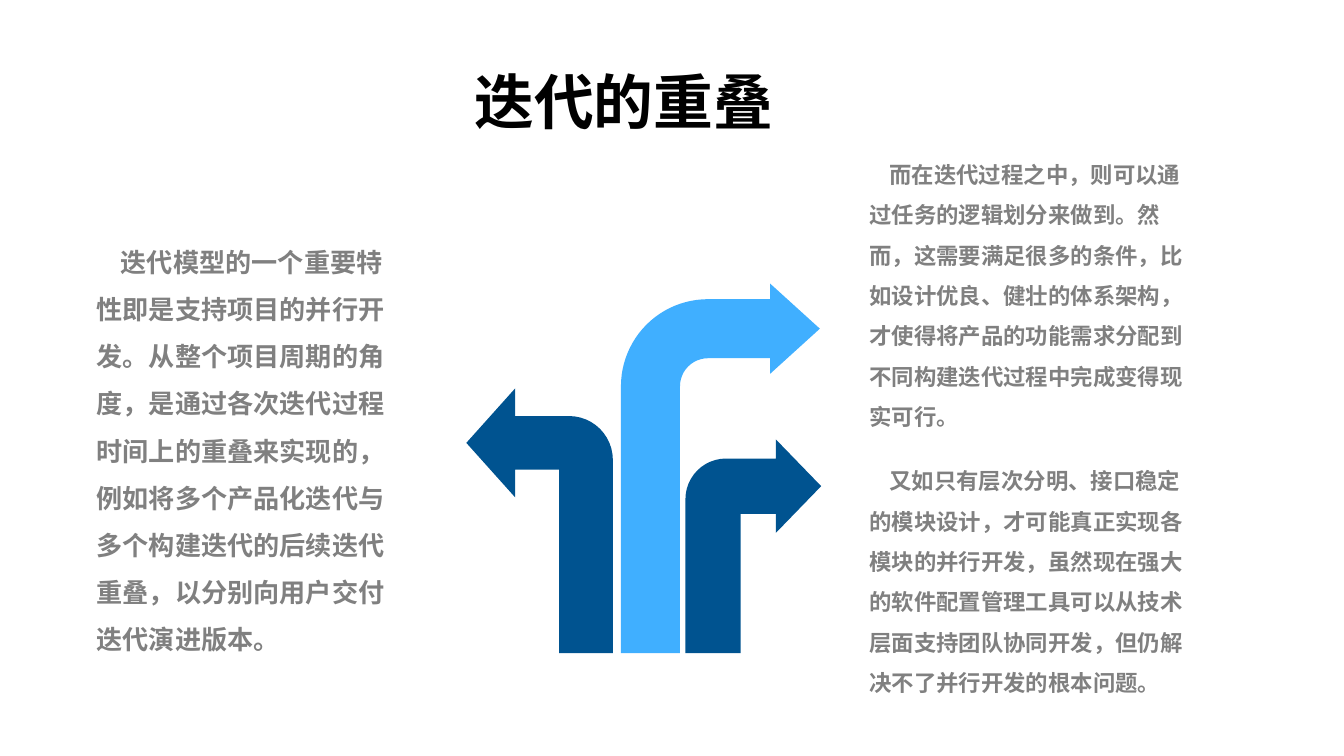
"""Build the slide on overlapping iterations."""
from typing import NamedTuple

from lxml.etree import SubElement
from pptx import Presentation
from pptx.dml.color import RGBColor
from pptx.enum.shapes import MSO_SHAPE as Kind
from pptx.enum.text import MSO_ANCHOR as Anchor, MSO_AUTO_SIZE as Fit, PP_ALIGN as Align
from pptx.oxml.ns import qn
from pptx.util import Inches, Pt

BLACK = RGBColor(0x00, 0x00, 0x00)
GRAY = RGBColor(0x80, 0x80, 0x80)
NAVY = RGBColor(0x00, 0x53, 0x90)
SKY = RGBColor(0x40, 0xAF, 0xFF)
HAN = "Noto Sans CJK SC"

Box = tuple[float, float, float, float]


class Arrow(NamedTuple):
    box: Box
    bends: Box
    color: RGBColor
    flip: bool = False


class Note(NamedTuple):
    box: Box
    size: int
    indent: float
    text: str


ARROWS = [
    Arrow((4.62, 2.11, 1.48, 2.75), (0.297, 0.227, 0.25, 0.438), SKY),
    Arrow((5.1, 3.27, 1.01, 1.59), (0.407, 0.344, 0.333, 0.299), NAVY),
    Arrow((3.47, 2.89, 1.09, 1.97), (0.366, 0.372, 0.333, 0.299), NAVY, True),
]
NOTES = [
    Note((0.62, 1.67, 2.49, 3.28), 14, 0.18,
         "迭代模型的一个重要特性即是支持项目的并行开发。从整个项目周期的角度，"
         "是通过各次迭代过程时间上的重叠来实现的，例如将多个产品化迭代与"
         "多个构建迭代的后续迭代重叠，以分别向用户交付迭代演进版本。"),
    Note((6.37, 1.05, 2.56, 2.22), 12, 0.15,
         "而在迭代过程之中，则可以通过任务的逻辑划分来做到。然而，这需要满足"
         "很多的条件，比如设计优良、健壮的体系架构，才使得将产品的功能需求"
         "分配到不同构建迭代过程中完成变得现实可行。"),
    Note((6.37, 3.33, 2.57, 1.92), 12, 0.15,
         "又如只有层次分明、接口稳定的模块设计，才可能真正实现各模块的并行开发，"
         "虽然现在强大的软件配置管理工具可以从技术层面支持团队协同开发，"
         "但仍解决不了并行开发的根本问题。"),
]


def write(shape, text: str, *, size: int, color: RGBColor, font: str = "Arial",
          space: float = 1.0, indent: float = 0, fit: Fit = Fit.SHAPE_TO_FIT_TEXT) -> None:
    """Fill a shape with one bold paragraph."""
    frame = shape.text_frame
    frame.word_wrap = True
    frame.auto_size = fit
    frame.vertical_anchor = Anchor.TOP
    para = frame.paragraphs[0]
    para.alignment = Align.LEFT
    para.line_spacing = space
    props = para._p.get_or_add_pPr()
    props.set("indent", str(Inches(indent)))
    props.set("hangingPunct", "0")
    run = para.add_run()
    run.text = text
    run.font.size = Pt(size)
    run.font.bold = True
    run.font.name = font
    run.font.color.rgb = color
    SubElement(run._r.get_or_add_rPr(), qn("a:ea"), typeface=HAN)


def draw_arrow(slide, arrow: Arrow) -> None:
    """Draw a bent arrow, mirrored when asked."""
    shape = slide.shapes.add_shape(Kind.BENT_ARROW, *map(Inches, arrow.box))
    for i, bend in enumerate(arrow.bends):
        shape.adjustments[i] = bend
    shape.shadow.inherit = False
    shape.fill.solid()
    shape.fill.fore_color.rgb = arrow.color
    shape.line.fill.background()
    if arrow.flip:
        shape.element.spPr.get_or_add_xfrm().set("flipH", "1")


def draw_note(slide, note: Note) -> None:
    """Draw a gray text block with an indented first line."""
    shape = slide.shapes.add_textbox(*map(Inches, note.box))
    write(shape, note.text, size=note.size, color=GRAY, space=1.5, indent=note.indent)


def main() -> None:
    """Build and save the slide."""
    deck = Presentation()
    deck.slide_width = Inches(10)
    deck.slide_height = deck.slide_width * 9 // 16
    slide = deck.slides.add_slide(deck.slide_layouts[5])
    title = slide.shapes.title
    title.left, title.top, title.width, title.height = map(Inches, (3.43, 0.43, 3.14, 1.18))
    write(title, "迭代的重叠", size=32, color=BLACK, font=HAN, fit=Fit.NONE)
    for arrow in ARROWS:
        draw_arrow(slide, arrow)
    for note in NOTES:
        draw_note(slide, note)
    deck.save("out.pptx")


if __name__ == "__main__":
    main()
